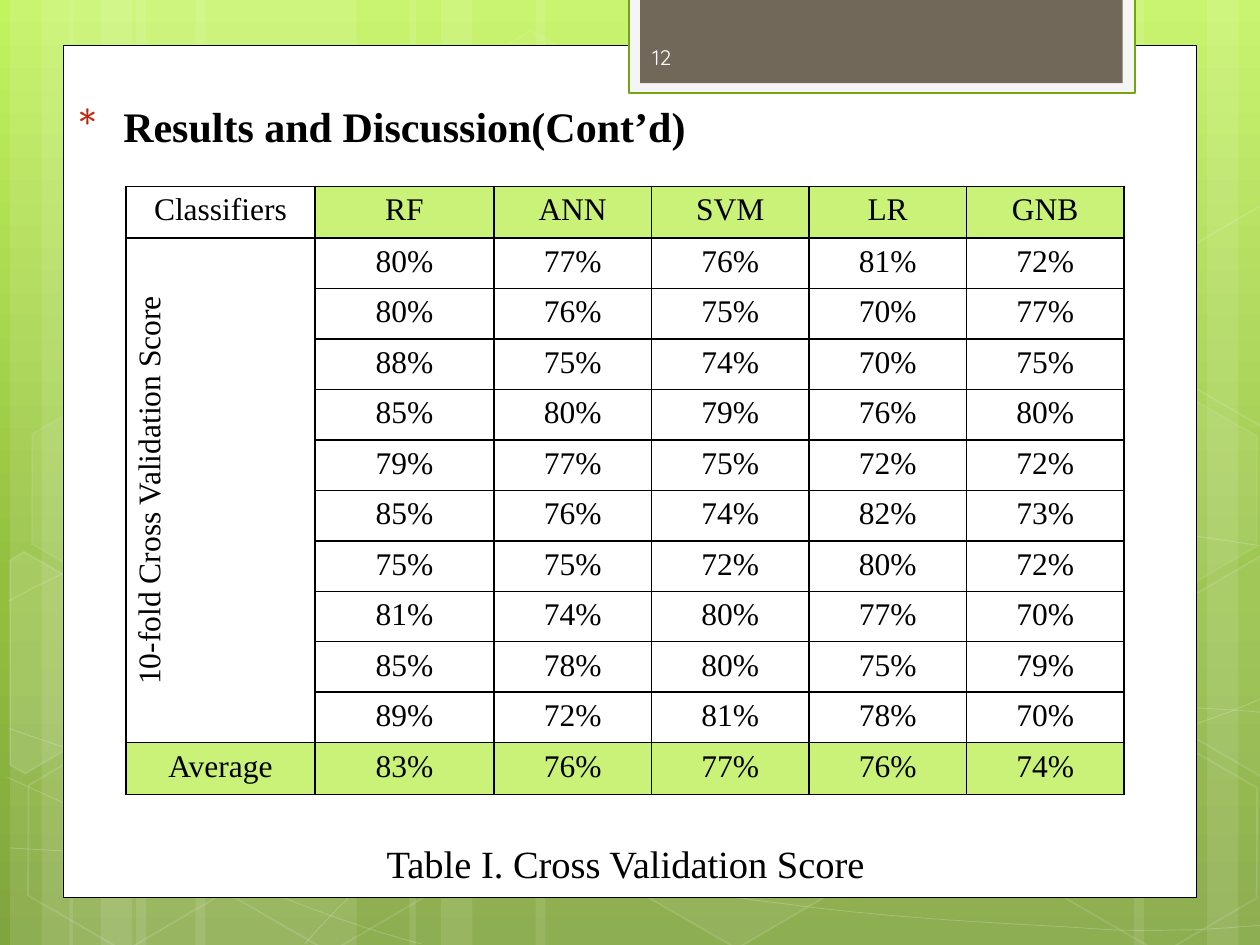
from copy import deepcopy

from lxml import etree
from pptx import Presentation
from pptx.dml.color import RGBColor
from pptx.enum.shapes import MSO_SHAPE
from pptx.enum.text import MSO_ANCHOR, PP_ALIGN
from pptx.oxml.ns import qn
from pptx.util import Inches, Pt

RECTANGLE, HEXAGON = MSO_SHAPE.RECTANGLE, MSO_SHAPE.HEXAGON
TOP, MIDDLE = MSO_ANCHOR.TOP, MSO_ANCHOR.MIDDLE
LEFT, CENTER = PP_ALIGN.LEFT, PP_ALIGN.CENTER
SERIF, SANS = "Times New Roman", "Quicksand"
WHITE, BLACK, LIME = "FFFFFF", "000000", "CAF278"

GRADIENT = [(0, "C3F35F"), (0.62, "93BF3F"), (1, "81A53E")]
BANDS = [(1.08, 1.75), (0.08, 0.5), (0.33, 0.83), (1.55, 1.75), (0.55, 0.5), (0.8, 0.83),
         (7.33, 1.75), (9.58, 0.5), (9, 0.83), (4.25, 3.08), (3.25, 0.5), (3.5, 0.83)]
CURVES = [
    [(0.07, 6.73), (0.61, 6.76), (1.15, 6.79), (1.9, 6.78), (2.65, 6.77), (3.58, 6.75),
     (4.58, 6.65), (5.58, 6.55), (7, 6.36), (7.92, 6.17), (8.83, 5.98), (9.77, 5.68), (10.07, 5.51)],
    [(0.07, 4.77), (0.36, 4.61), (0.65, 4.46), (1.21, 4.31), (1.78, 4.16), (2.59, 3.94),
     (3.47, 3.87), (4.36, 3.8), (5.44, 3.79), (6.54, 3.87), (7.64, 3.95), (9.47, 4.26), (10.07, 4.34)],
    [(0.06, 6.17), (1.27, 6.72), (2.47, 7.27), (3.34, 7.49)],
    [(0.07, 5.78), (0.38, 5.89), (0.7, 6), (1.28, 6.16), (1.86, 6.31), (2.73, 6.56),
     (3.57, 6.73), (4.4, 6.9), (5.45, 7.08), (6.28, 7.18), (7.11, 7.29), (8, 7.33),
     (8.53, 7.36), (9.05, 7.4), (9.19, 7.38), (9.45, 7.38), (9.71, 7.37), (9.89, 7.35), (10.07, 7.34)],
    [(2.42, 7.49), (2.6, 7.29), (2.78, 7.09), (3.02, 6.91), (3.26, 6.73), (3.6, 6.53),
     (3.88, 6.39), (4.16, 6.25), (4.33, 6.19), (4.7, 6.09), (5.06, 5.99), (5.73, 5.85),
     (6.08, 5.78), (6.44, 5.71), (6.49, 5.71), (6.8, 5.69), (7.11, 5.66), (7.6, 5.63),
     (7.94, 5.62), (8.29, 5.61), (8.86, 5.62), (8.86, 5.62), (9.08, 5.62), (9.31, 5.62),
     (9.53, 5.62), (9.71, 5.63), (9.88, 5.64), (9.97, 5.65), (10.06, 5.66), (10.03, 5.65),
     (10.06, 5.66)],
]
HEXAGONS = [(3.34, 0.36, 4, 8), (4.97, 5.89, 6, 12), (0.11, 5.91, None, 12), (0.14, 3.12, 7, 8),
            (1.74, 5.92, None, 12), (8.34, 5.93, None, 12), (8.34, 3.14, 7, 8)]
CUT_HEXAGONS = [
    ([(0.08, 4.45), (0.19, 4.38), (0.96, 4.82), (0.95, 5.7), (0.2, 6.14), (0.08, 6.07)], 10),
    ([(9.26, 4.85), (10.01, 4.41), (10.09, 4.46), (10.09, 6.13), (10.02, 6.17), (9.26, 5.73)], 4),
    ([(9.26, 2.07), (10.01, 1.63), (10.1, 1.68), (10.09, 3.35), (10.02, 3.39), (9.26, 2.95)], None),
]
CLASSIFIERS = ["RF", "ANN", "SVM", "LR", "GNB"]
SCORES = [(80, 77, 76, 81, 72), (80, 76, 75, 70, 77), (88, 75, 74, 70, 75), (85, 80, 79, 76, 80),
          (79, 77, 75, 72, 72), (85, 76, 74, 82, 73), (75, 75, 72, 80, 72), (81, 74, 80, 77, 70),
          (85, 78, 80, 75, 79), (89, 72, 81, 78, 70)]
AVERAGES = (83, 76, 77, 76, 74)


def color(value):
    """Turn a hex string into a colour."""
    return RGBColor.from_string(value)


def paint(fill, value):
    """Give a fill one colour."""
    fill.solid()
    fill.fore_color.rgb = color(value)


def fade(parent, opacity):
    """Set the opacity, in percent, of the solid fill in an element."""
    if opacity < 100:
        solid = parent.find(qn("a:solidFill"))
        etree.SubElement(solid[0], qn("a:alpha")).set("val", str(opacity * 1000))


def style(shape, fill=None, opacity=100, line=None, width=1, line_opacity=100):
    """Set the fill and outline of a shape and drop its shadow."""
    shape.shadow.inherit = False
    properties = shape.element.spPr
    if fill and opacity:
        paint(shape.fill, fill)
        fade(properties, opacity)
    else:
        shape.fill.background()
    if line:
        paint(shape.line.fill, line)
        shape.line.width = Pt(width)
        fade(properties.find(qn("a:ln")), line_opacity)
    else:
        shape.line.fill.background()


def add_box(slide, kind, box, **look):
    """Add a preset shape in a box."""
    shape = slide.shapes.add_shape(kind, *map(Inches, box))
    style(shape, **look)
    return shape


def add_outline(slide, points, close, **look):
    """Add a freeform through points."""
    points = [(Inches(x), Inches(y)) for x, y in points]
    builder = slide.shapes.build_freeform(*points[0], scale=1.0)
    builder.add_line_segments(points[1:], close=close)
    shape = builder.convert_to_shape()
    style(shape, **look)
    return shape


def add_curve(slide, controls, **look):
    """Add a chain of cubic curves, three control points to each."""
    shape = add_outline(slide, controls, False, **look)
    segments = list(shape.element.iter(qn("a:lnTo")))
    for start in range(0, len(segments), 3):
        curve = etree.Element(qn("a:cubicBezTo"))
        segments[start].addprevious(curve)
        for segment in segments[start:start + 3]:
            curve.append(segment[0])
            segment.getparent().remove(segment)


def write(frame, text, size=18, font=SERIF, ink=BLACK, bold=False, align=CENTER):
    """Write one formatted paragraph into a text frame."""
    paragraph = frame.paragraphs[0]
    paragraph.alignment = align
    run = paragraph.add_run()
    run.text = text
    run.font.size, run.font.name, run.font.bold = Pt(size), font, bold
    run.font.color.rgb = color(ink)
    return paragraph


def add_text(slide, box, text, wrap=True, anchor=TOP, **format):
    """Add a text box."""
    frame = slide.shapes.add_textbox(*map(Inches, box)).text_frame
    frame.word_wrap, frame.vertical_anchor = wrap, anchor
    return write(frame, text, **format)


def add_background(slide, height):
    """Draw the gradient, light bands, curves and hexagons."""
    fill = slide.background.fill
    fill.gradient()
    fill.gradient_angle = 270
    stops = next(slide.element.iter(qn("a:gsLst")))
    stops.append(deepcopy(stops[-1]))
    for stop, (position, value) in zip(fill.gradient_stops, GRADIENT):
        stop.position, stop.color.rgb = position, color(value)
    for left, width in BANDS:
        add_box(slide, RECTANGLE, (left, 0, width, height), fill=WHITE, opacity=10)
    for controls in CURVES:
        add_curve(slide, controls, line=WHITE, width=0.5, line_opacity=20)
    for left, top, opacity, line_opacity in HEXAGONS:
        hexagon = add_box(slide, HEXAGON, (left, top, 1.75, 1.52), fill=WHITE, opacity=opacity,
                          line=WHITE, line_opacity=line_opacity)
        hexagon.adjustments[0], hexagon.adjustments[1] = 0.285, 1.155
        hexagon.rotation = 30
    for points, opacity in CUT_HEXAGONS:
        add_outline(slide, points, True, fill=WHITE, opacity=opacity, line=WHITE, line_opacity=12)


def add_number_tab(slide, left, top, number):
    """Draw the tab with the slide number."""
    add_box(slide, RECTANGLE, (left, top, 4.02, 0.76), fill="F5F5F5", line="74A510", width=1.25)
    add_box(slide, RECTANGLE, (left + 0.09, top, 3.83, 0.68), fill="71685A")
    add_text(slide, (left + 0.09, top + 0.27, 1.46, 0.4), number, anchor=MIDDLE,
             size=12, font=SANS, ink="FEFEFE", align=LEFT)


def add_heading(slide, box, text):
    """Add the heading with its star bullet."""
    paragraph = add_text(slide, box, text, size=24, bold=True, align=LEFT)
    properties = paragraph._p.get_or_add_pPr()
    properties.set("marL", str(Inches(0.35)))
    properties.set("indent", str(-Inches(0.35)))
    bullet_color = etree.SubElement(properties, qn("a:buClr"))
    etree.SubElement(bullet_color, qn("a:srgbClr")).set("val", "C3260C")
    for tag, key, value in (("a:buSzPct", "val", "128000"), ("a:buFont", "typeface", SANS),
                            ("a:buChar", "char", "*")):
        etree.SubElement(properties, qn(tag)).set(key, value)


def add_borders(cell):
    """Draw thin black borders around a cell."""
    properties = cell._tc.get_or_add_tcPr()
    for index, side in enumerate(("a:lnL", "a:lnR", "a:lnT", "a:lnB")):
        border = etree.Element(qn(side), w=str(Pt(1)))
        solid = etree.SubElement(border, qn("a:solidFill"))
        etree.SubElement(solid, qn("a:srgbClr")).set("val", BLACK)
        properties.insert(index, border)


def add_score_table(slide, left, top):
    """Add the table of scores for each classifier."""
    percent = [[f"{score}%" for score in row] for row in SCORES + [AVERAGES]]
    labels = ["10-fold Cross Validation Score"] + [""] * 9 + ["Average"]
    rows = [["Classifiers"] + CLASSIFIERS] + [[label] + row for label, row in zip(labels, percent)]
    widths = [1.5, 1.42] + [1.25] * 4
    heights = [0.41] + [0.37] * 10 + [0.41]
    table = slide.shapes.add_table(len(rows), len(widths), Inches(left), Inches(top),
                                   Inches(sum(widths)), Inches(sum(heights))).table
    for column, width in zip(table.columns, widths):
        column.width = Inches(width)
    for r, (row, height) in enumerate(zip(rows, heights)):
        table.rows[r].height = Inches(height)
        for c, text in enumerate(row):
            cell = table.cell(r, c)
            cell.margin_top = cell.margin_bottom = Inches(0.05 if text else 0)
            if r == len(rows) - 1 or (r == 0 and c > 0):
                paint(cell.fill, LIME)
            else:
                cell.fill.background()
            add_borders(cell)
            if text:
                write(cell.text_frame, text)
    side = table.cell(1, 0)
    side.merge(table.cell(10, 0))
    side.vertical_anchor = MIDDLE
    side._tc.get_or_add_tcPr().set("vert", "vert270")


def main():
    """Build and save the slide."""
    presentation = Presentation()
    presentation.slide_width, presentation.slide_height = Inches(10), Inches(7.5)
    slide = presentation.slides.add_slide(presentation.slide_layouts[6])
    add_background(slide, 7.5)
    add_box(slide, RECTANGLE, (0.5, 0.36, 9, 6.76), fill=WHITE, line=BLACK, width=0.5)
    add_number_tab(slide, 4.99, -0.02, "12")
    add_heading(slide, (0.53, 0.75, 7.12, 1.25), "Results and Discussion(Cont’d)")
    add_score_table(slide, 1, 1.48)
    add_text(slide, (2.94, 6.62, 4.05, 0.46), "Table I. Cross Validation Score", wrap=False, size=22)
    presentation.save("out.pptx")


main()
